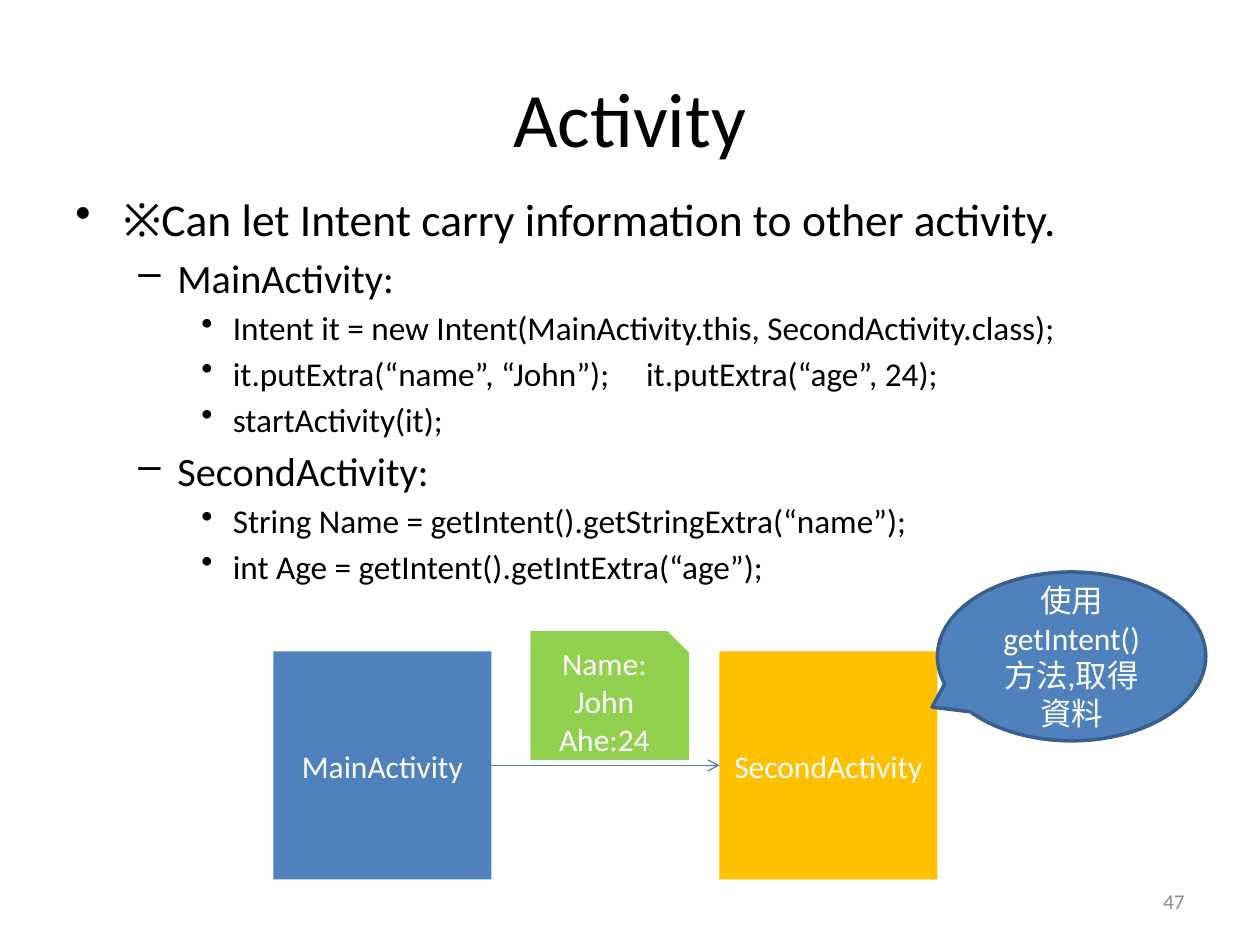
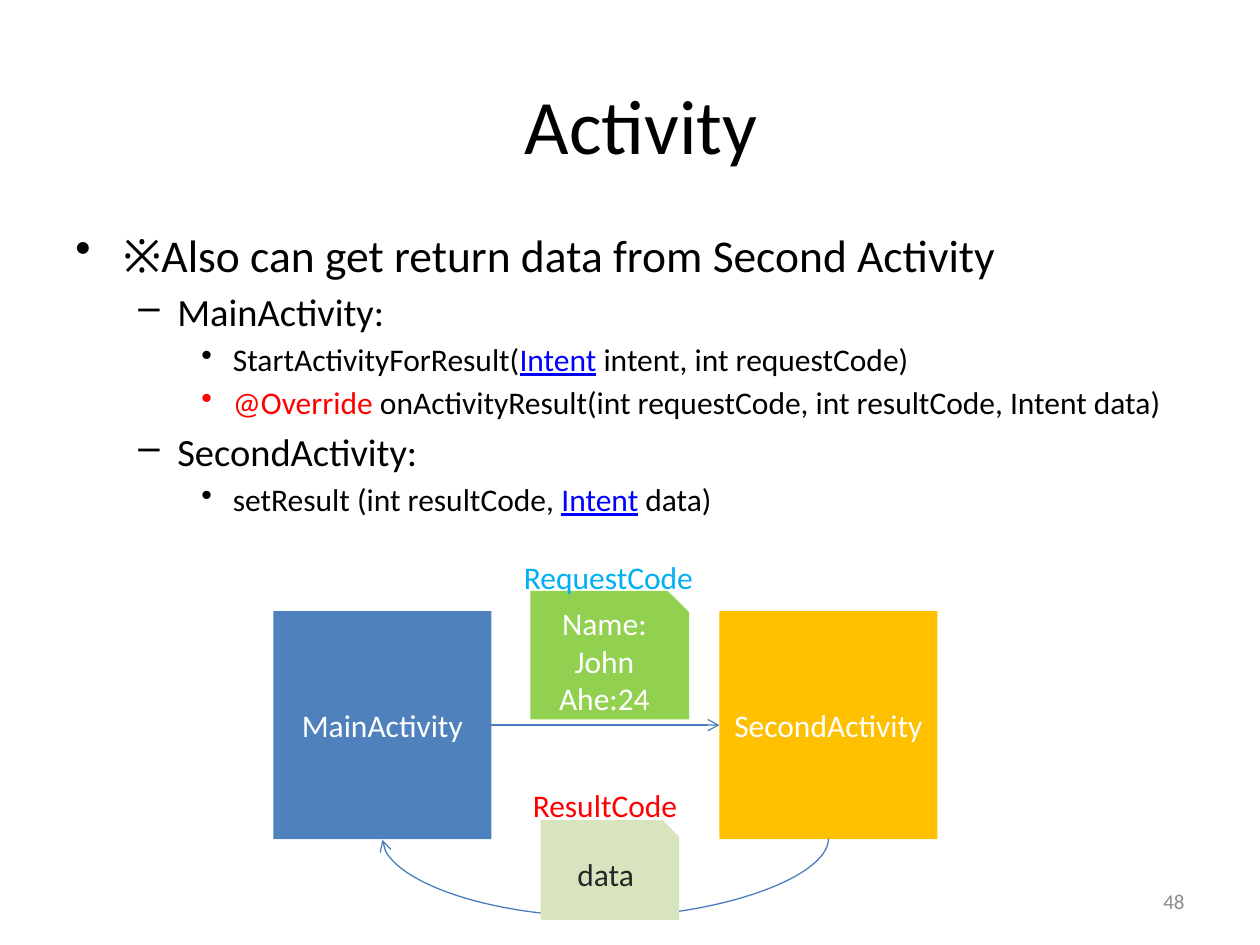
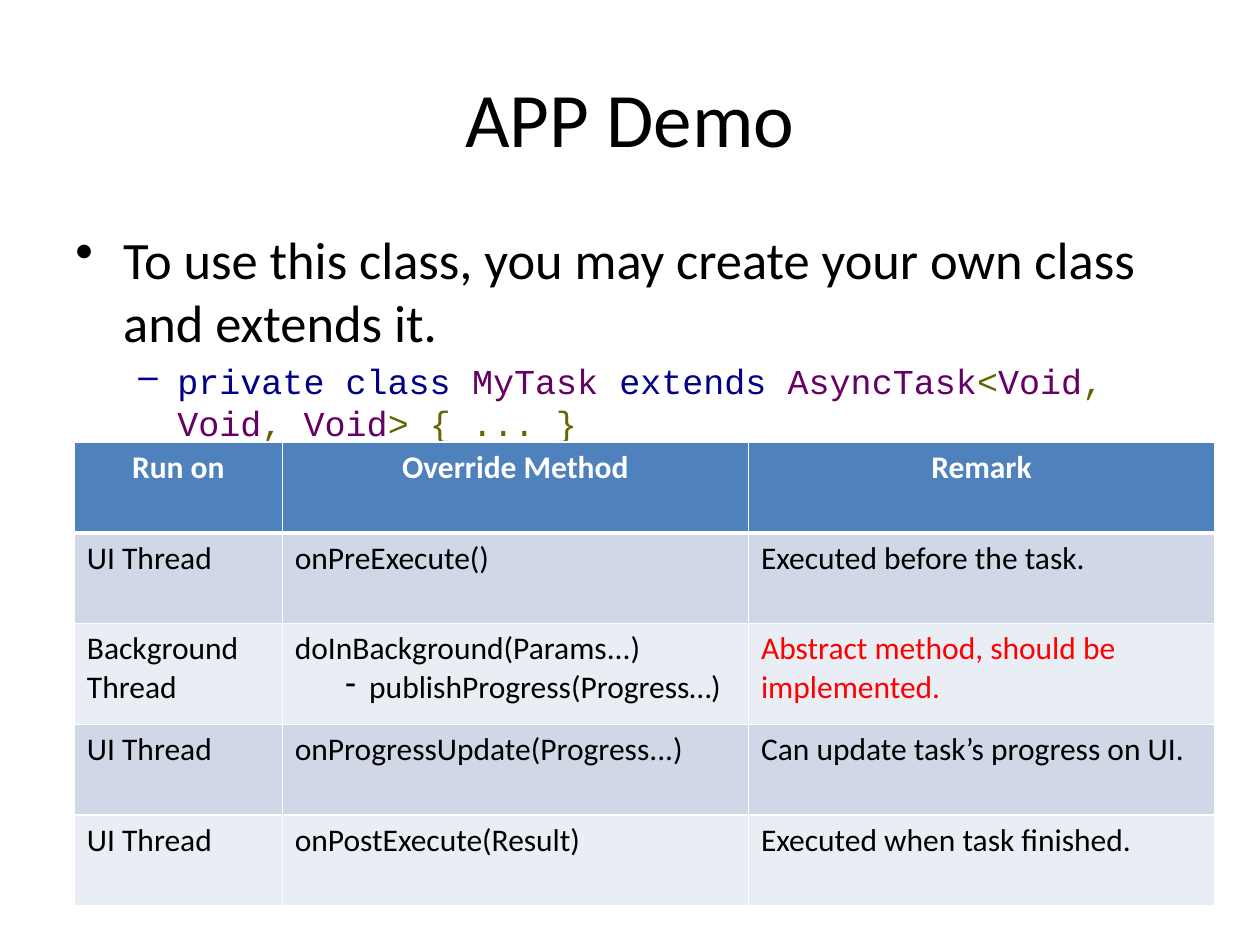
from dataclasses import dataclass
from typing import NamedTuple, Optional

from lxml import etree
from pptx import Presentation
from pptx import util as u
from pptx.dml.color import RGBColor
from pptx.enum import shapes as shp, text as txt
from pptx.oxml import ns


@dataclass(frozen=True)
class Theme:
    font: str = "Calibri"
    code_font: str = "Courier New"
    title_size: float = 44
    label_size: float = 18
    number_size: float = 12
    code_size: float = 20
    black: str = "000000"
    white: str = "FFFFFF"
    gray: str = "8C8C8C"
    dark: str = "262626"
    blue: str = "4F81BD"
    blue_edge: str = "3A5F8C"
    arrow: str = "4B7EBC"
    amber: str = "FFC000"
    green: str = "92D050"
    pale_green: str = "D7E4BD"
    red: str = "FF0000"
    cyan: str = "00B0F0"
    link: str = "0000FF"
    keyword: str = "000088"
    type_name: str = "660066"
    symbol: str = "666600"
    band_dark: str = "D0D8E8"
    band_light: str = "E9EDF4"


T = Theme()


class Box(NamedTuple):
    left: float
    top: float
    width: float
    height: float

    def lengths(self) -> list:
        return [u.Inches(side) for side in self]


class Run(NamedTuple):
    text: str
    color: str = T.black
    size: float = T.label_size
    font: str = T.font
    bold: bool = False
    underline: bool = False


class Bullet(NamedTuple):
    level: int
    runs: list
    tab: Optional[float] = None


class BulletStyle(NamedTuple):
    mark: str
    margin: float
    hanging: float


BULLETS = [BulletStyle("•", 0.38, 0.38), BulletStyle("–", 0.81, 0.31),
           BulletStyle("•", 1.25, 0.25)]
CELL_DASH = BulletStyle("-", 0.59, 0.19)
SPACE_BEFORE = 0.18  # share of the type size

TITLE = Box(0.5, 0.3, 9, 1.25)
NUMBER = Box(7.17, 6.95, 2.33, 0.4)
BODY = Box(0.5, 1.75, 9, 4.95)


def rgb(color: str) -> RGBColor:
    return RGBColor.from_string(color)


def child(parent, tag: str, **attributes):
    element = etree.SubElement(parent, ns.qn(tag))
    for key, value in attributes.items():
        element.set(key, str(value))
    return element


# Text
def add_runs(paragraph, runs: list) -> None:
    for item in runs:
        run = paragraph.add_run()
        run.text = item.text
        font = run.font
        font.name, font.size = item.font, u.Pt(item.size)
        font.bold, font.underline = item.bold, item.underline
        font.color.rgb = rgb(item.color)


def write(frame, lines: list, align=txt.PP_ALIGN.LEFT, anchor=txt.MSO_ANCHOR.TOP) -> None:
    frame.word_wrap = True
    frame.vertical_anchor = anchor
    for index, runs in enumerate(lines):
        paragraph = frame.paragraphs[0] if index == 0 else frame.add_paragraph()
        paragraph.alignment = align
        add_runs(paragraph, runs)


def set_bullet(paragraph, style: BulletStyle) -> None:
    properties = paragraph._p.get_or_add_pPr()
    properties.set("marL", str(u.Inches(style.margin)))
    properties.set("indent", str(-u.Inches(style.hanging)))
    child(properties, "a:buChar", char=style.mark)


def add_text(slide, box: Box, runs: list, align=txt.PP_ALIGN.LEFT,
             anchor=txt.MSO_ANCHOR.TOP) -> None:
    write(slide.shapes.add_textbox(*box.lengths()).text_frame, [runs], align, anchor)


def add_body(slide, box: Box, bullets: list) -> None:
    frame = slide.shapes.add_textbox(*box.lengths()).text_frame
    write(frame, [bullet.runs for bullet in bullets])
    for paragraph, bullet in zip(frame.paragraphs, bullets):
        paragraph.level = bullet.level
        paragraph.space_before = u.Pt(round(bullet.runs[0].size * SPACE_BEFORE, 1))
        set_bullet(paragraph, BULLETS[bullet.level])
        if bullet.tab:
            stops = child(paragraph._p.pPr, "a:tabLst")
            child(stops, "a:tab", pos=u.Inches(bullet.tab), algn="l")


def start_slide(deck, heading: str, number: str = "", title_box: Box = TITLE):
    slide = deck.slides.add_slide(deck.slide_layouts[5])
    title = slide.shapes.title
    title.left, title.top, title.width, title.height = title_box.lengths()
    write(title.text_frame, [[Run(heading, size=T.title_size)]],
          txt.PP_ALIGN.CENTER, txt.MSO_ANCHOR.MIDDLE)
    if number:
        add_text(slide, NUMBER, [Run(number, T.gray, T.number_size)],
                 txt.PP_ALIGN.RIGHT, txt.MSO_ANCHOR.MIDDLE)
    return slide


# Diagram parts
def add_block(slide, kind, box: Box, fill: str, lines: list,
              color: str = T.white, edge: str = ""):
    block = slide.shapes.add_shape(kind, *box.lengths())
    block.shadow.inherit = False
    block.fill.solid()
    block.fill.fore_color.rgb = rgb(fill)
    if edge:
        block.line.color.rgb = rgb(edge)
        block.line.width = u.Pt(2)
    else:
        block.line.fill.background()
    write(block.text_frame, [[Run(line, color)] for line in lines],
          txt.PP_ALIGN.CENTER, txt.MSO_ANCHOR.MIDDLE)
    return block


def add_arrow(slide, kind, start: tuple, end: tuple):
    arrow = slide.shapes.add_connector(kind, *[u.Inches(n) for n in start + end])
    arrow.line.color.rgb = rgb(T.arrow)
    arrow.line.width = u.Pt(0.75)
    child(arrow.line._get_or_add_ln(), "a:tailEnd", type="arrow")
    child(arrow._element.spPr, "a:effectLst")
    return arrow


def add_activities(slide, top: float) -> None:
    """Two activities, with an intent and its data passed between them."""
    main, second = [
        add_block(slide, shp.MSO_SHAPE.RECTANGLE, Box(left, top, 1.73, 1.81), fill, [name])
        for left, fill, name in ((2.17, T.blue, "MainActivity"),
                                 (5.71, T.amber, "SecondActivity"))]
    middle = top + 0.9
    intent = add_arrow(slide, shp.MSO_CONNECTOR.STRAIGHT, (3.9, middle), (5.71, middle))
    intent.begin_connect(main, 3)
    intent.end_connect(second, 1)
    add_block(slide, shp.MSO_SHAPE.SNIP_1_RECTANGLE, Box(4.21, top - 0.16, 1.26, 1.02),
              T.green, ["Name: John", "Ahe:24"])


def add_return_arrow(slide) -> None:
    """Curve that leaves the second activity's base and comes up under the first."""
    arrow = add_arrow(slide, shp.MSO_CONNECTOR.CURVE, (4.8, 4.89), (4.81, 8.43))
    arrow._element.spPr.xfrm.set("rot", str(90 * 60000))
    guides = arrow._element.spPr.prstGeom.get_or_add_avLst()
    child(guides, "a:gd", name="adj1", fmla="val 6300000")


# Table
def set_borders(cell, bottom: float) -> None:
    properties = cell._tc.get_or_add_tcPr()
    for side, width in (("L", 1), ("R", 1), ("T", 1), ("B", bottom)):
        line = child(properties, f"a:ln{side}", w=u.Pt(width))
        child(child(line, "a:solidFill"), "a:srgbClr", val=T.white)


def add_method_table(slide, box: Box, widths: list, heights: list, rows: list) -> None:
    table = slide.shapes.add_table(len(rows), len(widths), *box.lengths()).table
    table.horz_banding = False
    for column, width in zip(table.columns, widths):
        column.width = u.Inches(width)
    for index, (row, height, entries) in enumerate(zip(table.rows, heights, rows)):
        row.height = u.Inches(height)
        header = index == 0
        fill = T.blue if header else (T.band_light, T.band_dark)[index % 2]
        for cell, lines in zip(row.cells, entries):
            set_borders(cell, 3 if header or False else 1)
            cell.fill.solid()
            cell.fill.fore_color.rgb = rgb(fill)
            write(cell.text_frame, [[line] for line in lines],
                  txt.PP_ALIGN.CENTER if header else txt.PP_ALIGN.LEFT)
            for step in cell.text_frame.paragraphs[1:]:
                set_bullet(step, CELL_DASH)


# Slides
def build_send(deck) -> None:
    slide = start_slide(deck, "Activity", "47")
    outline = [
        (0, "※Can let Intent carry information to other activity."),
        (1, "MainActivity:"),
        (2, "Intent it = new Intent(MainActivity.this, SecondActivity.class);"),
        (2, "it.putExtra(“name”, “John”);\tit.putExtra(“age”, 24);"),
        (2, "startActivity(it);"),
        (1, "SecondActivity:"),
        (2, "String Name = getIntent().getStringExtra(“name”);"),
        (2, "int Age = getIntent().getIntExtra(“age”);")]
    sizes = (26, 23, 19)
    add_body(slide, Box(0.5, 1.47, 9, 6.03),
             [Bullet(level, [Run(line, size=sizes[level])], 4.53 if "\t" in line else None)
              for level, line in outline])
    add_activities(slide, 5.17)
    callout = add_block(slide, shp.MSO_SHAPE.OVAL_CALLOUT, Box(7.44, 4.54, 2.13, 1.34),
                        T.blue, ["使用getIntent()方法,取得資料"], edge=T.blue_edge)
    callout.adjustments[0], callout.adjustments[1] = -0.52, 0.3


def build_return(deck) -> None:
    slide = start_slide(deck, "Activity", "48", Box(0.59, 0.36, 9, 1.25))
    intent = Run("Intent", T.link, underline=True)
    add_body(slide, BODY, [
        Bullet(0, [Run("※Also can get return data from Second Activity", size=26)]),
        Bullet(1, [Run("MainActivity:", size=22)]),
        Bullet(2, [Run("StartActivityForResult("), intent, Run(" intent, int requestCode)")]),
        Bullet(2, [Run("@Override ", T.red),
                   Run("onActivityResult(int requestCode, int resultCode, Intent data)")]),
        Bullet(1, [Run("SecondActivity:", size=22)]),
        Bullet(2, [Run("setResult (int resultCode, "), intent, Run(" data)")])])
    add_activities(slide, 4.85)
    add_text(slide, Box(4.06, 4.38, 1.81, 0.4), [Run("RequestCode", T.cyan)])
    add_return_arrow(slide)
    add_block(slide, shp.MSO_SHAPE.SNIP_1_RECTANGLE, Box(4.29, 6.51, 1.1, 0.79),
              T.pale_green, ["data"], T.dark)
    add_text(slide, Box(4.13, 6.19, 1.42, 0.4), [Run("ResultCode", T.red)])


def build_demo(deck) -> None:
    slide = start_slide(deck, "APP Demo")
    declaration = [
        ("private class ", T.keyword), ("MyTask ", T.type_name), ("extends ", T.keyword),
        ("AsyncTask", T.type_name), ("<", T.symbol), ("Void", T.type_name),
        (", ", T.symbol), ("Void", T.type_name), (", ", T.symbol),
        ("Void", T.type_name), ("> { ... }", T.symbol)]
    add_body(slide, BODY, [
        Bullet(0, [Run("To use this class, you may create your own class and extends it.",
                       size=30)]),
        Bullet(1, [Run(word, color, T.code_size, T.code_font)
                   for word, color in declaration])])

    header = [[Run(name, T.white, bold=True)]
              for name in ("Run on", "Override Method", "Remark")]
    ui_thread = [Run("UI Thread")]
    add_method_table(
        slide, Box(0.59, 3.51, 9.05, 3.68), [1.65, 3.7, 3.7], [0.72, 0.72, 0.8, 0.72, 0.72],
        [header,
         [ui_thread, [Run("onPreExecute()")], [Run("Executed before the task.")]],
         [[Run("Background Thread")],
          [Run("doInBackground(Params...)"), Run("publishProgress(Progress…)")],
          [Run("Abstract method, should be implemented.", T.red)]],
         [ui_thread, [Run("onProgressUpdate(Progress...)")],
          [Run("Can update task’s progress on UI.")]],
         [ui_thread, [Run("onPostExecute(Result)")],
          [Run("Executed when task finished.")]]])


def main() -> None:
    deck = Presentation()
    deck.slide_width, deck.slide_height = u.Inches(10), u.Inches(7.5)
    for build in (build_send, build_return, build_demo):
        build(deck)
    deck.save("out.pptx")


if __name__ == "__main__":
    main()
